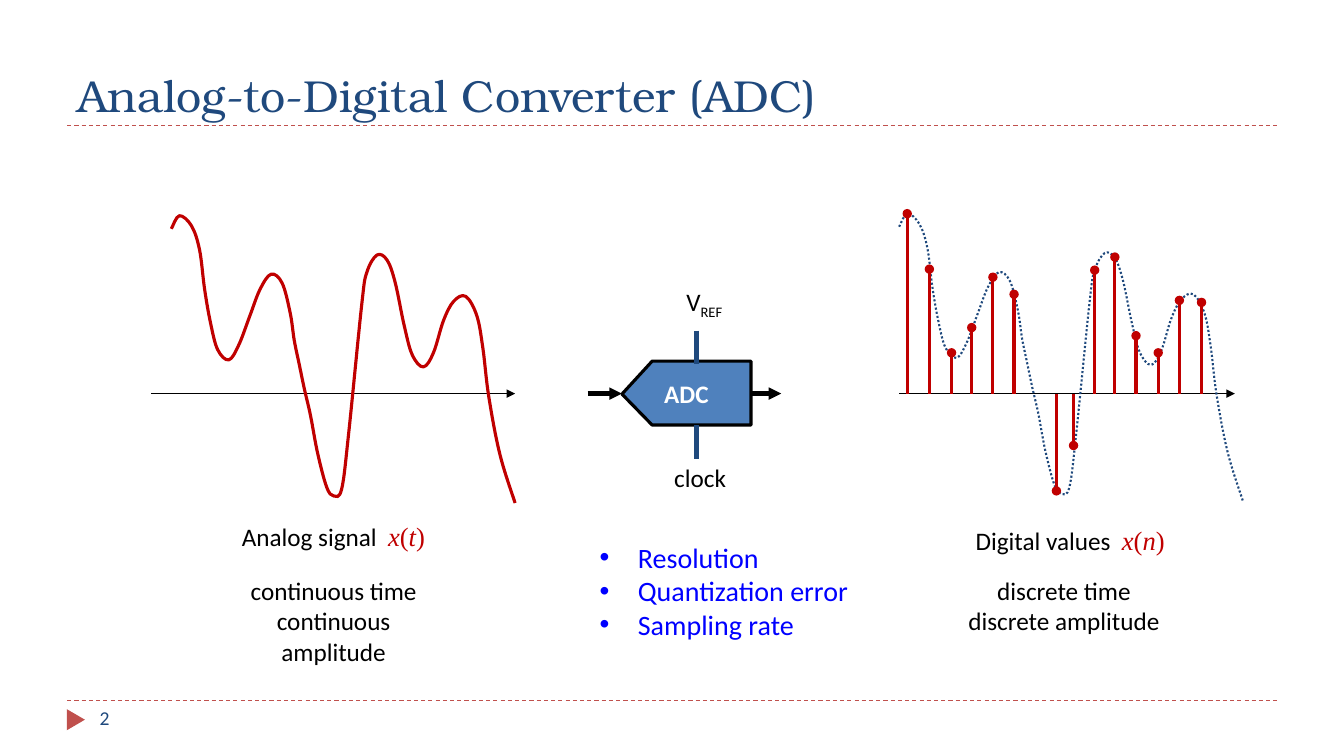
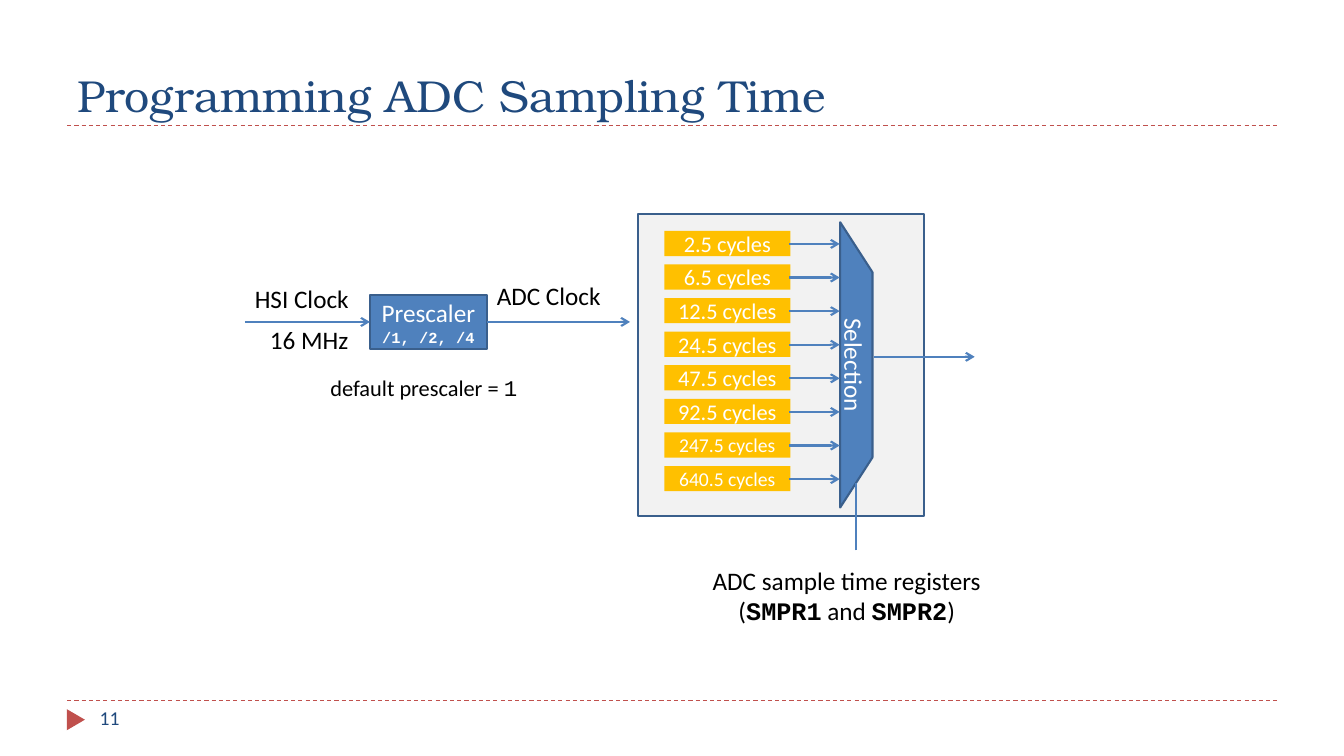
from dataclasses import dataclass

from lxml import etree
from pptx import Presentation
from pptx import util as u
from pptx.dml.color import RGBColor
from pptx.enum import dml, shapes, text
from pptx.oxml import ns

CELL = u.Inches(0.1)  # grid of 75 rows; every length below is in cells
WIDE, HIGH = 133.33, 75
KIND = shapes.MSO_SHAPE
DASH = dml.MSO_LINE
MID = text.PP_ALIGN.CENTER


@dataclass(frozen=True)
class Theme:
    navy: str = "1F497D"
    blue: str = "4F81BD"
    edge: str = "3A5F8C"
    red: str = "C00000"
    brick: str = "C0504D"
    gold: str = "FFC000"
    pale: str = "F2F2F2"
    link: str = "0000FF"
    black: str = "000000"
    white: str = "FFFFFF"
    head: str = "TeX Gyre Bonum"
    body: str = "Calibri"
    math: str = "Times New Roman"
    code: str = "Courier New"
    title: int = 32
    list: int = 20
    sign: int = 19
    base: int = 18
    note: int = 16
    foot: int = 14
    tiny: int = 11


T = Theme()


def emu(cells):
    return u.Emu(round(cells * CELL))


def style(run, size=T.base, color=T.black, font=T.body,
          bold=False, italic=False, shift=0):
    f = run.font
    f.size, f.name, f.bold, f.italic = u.Pt(size), font, bold, italic
    f.color.rgb = RGBColor.from_string(color)
    if shift:
        run._r.get_or_add_rPr().set("baseline", str(shift * 1000))


def bullet(para):
    para.level = 1
    props = para._p.get_or_add_pPr()
    props.set("marL", str(emu(8.8)))
    props.set("indent", str(emu(-3.8)))
    etree.SubElement(props, ns.qn("a:buFont")).set("typeface", "Arial")
    etree.SubElement(props, ns.qn("a:buChar")).set("char", "•")


def write(frame, body, align=text.PP_ALIGN.LEFT, anchor=text.MSO_ANCHOR.TOP,
          dots=False, pad=None, **fmt):
    """Fill a frame: a string, or paragraphs made of strings and (string, format) runs."""
    frame.word_wrap = True
    frame.auto_size = text.MSO_AUTO_SIZE.NONE
    frame.vertical_anchor = anchor
    if pad is not None:
        frame.margin_left = frame.margin_right = emu(pad)
        if not pad:
            frame.margin_top = frame.margin_bottom = 0
    paras = [body] if isinstance(body, str) else body
    for i, runs in enumerate(paras):
        para = frame.add_paragraph() if i else frame.paragraphs[0]
        if dots:
            bullet(para)
        para.alignment = align
        for part in [runs] if isinstance(runs, str) else runs:
            words, own = (part, {}) if isinstance(part, str) else part
            run = para.add_run()
            run.text = words
            style(run, **{**fmt, **own})


def bend(item):
    """Turn the straight segments of an outline into a smooth Bézier curve."""
    dots = list(item._element.iter(ns.qn("a:pt")))
    spots = [(int(d.get("x")), int(d.get("y"))) for d in dots]
    ends = [spots[0], *spots, spots[-1]]
    for dot, *quad in zip(dots[1:], ends, ends[1:], ends[2:], ends[3:]):
        a, b, c, d = quad
        dot.getparent().tag = ns.qn("a:cubicBezTo")
        for base, start, stop in ((b, a, c), (c, d, b)):
            pull = etree.Element(ns.qn("a:pt"))
            for key, p, q, r in zip("xy", base, start, stop):
                pull.set(key, str(round(p + (r - q) / 6)))
            dot.addprevious(pull)


class Deck:
    def __init__(self):
        self.file = Presentation()
        self.file.slide_width, self.file.slide_height = emu(WIDE), emu(HIGH)
        self.plan = self.file.slide_layouts[5]
        self.slide = None

    def frame(self):
        """Draw the rules and the footer mark, and hand them to the layout."""
        for hold in list(self.plan.placeholders)[1:]:
            hold._element.getparent().remove(hold._element)
        for y in (69.5, 12.48):
            self.line(6.67, y, 126.67, y, T.brick, 0.75, dash=DASH.DASH)
        self.box(6.47, 70.5, 2.1, 1.8, T.brick, kind=KIND.ISOSCELES_TRIANGLE, turn=90)
        for item in list(self.slide.shapes)[1:]:
            self.plan.shapes._spTree.append(item._element)

    def page(self, title, number):
        """Start a slide with its title and number."""
        first = self.slide is None
        self.slide = self.file.slides.add_slide(self.plan)
        if first:
            self.frame()
        head = self.slide.shapes.title
        head.left, head.top, head.width, head.height = map(emu, (6.67, 1.7, 120, 10.83))
        write(head.text_frame, title, anchor=text.MSO_ANCHOR.BOTTOM,
              size=T.title, color=T.navy, font=T.head)
        self.label(8.9, 69.5, 28.9, 4, number, size=T.foot, color=T.navy)

    def label(self, x, y, w, h, body, **fmt):
        item = self.slide.shapes.add_textbox(*map(emu, (x, y, w, h)))
        write(item.text_frame, body, **fmt)

    def line(self, x1, y1, x2, y2, color, width, head=None, tail=None, dash=None):
        item = self.slide.shapes.add_connector(
            shapes.MSO_CONNECTOR.STRAIGHT, *map(emu, (x1, y1, x2, y2)))
        self.stroke(item, color, width, dash)
        ln = item.line._get_or_add_ln()
        for tag, end in (("a:headEnd", head), ("a:tailEnd", tail)):
            if end:
                etree.SubElement(ln, ns.qn(tag)).set("type", end)
        etree.SubElement(item._element.spPr, ns.qn("a:effectLst"))

    def box(self, x, y, w, h, fill, edge=None, body=None,
            kind=KIND.RECTANGLE, turn=0, adj=None, **fmt):
        item = self.slide.shapes.add_shape(kind, *map(emu, (x, y, w, h)))
        item.rotation = turn
        if adj is not None:
            item.adjustments[0] = adj
        self.dress(item, fill, edge, 1.5, body, **fmt)

    def free(self, dots, width, edge, fill=None, dash=None, body=None, **fmt):
        """Draw a closed outline when there is a fill, else a smooth curve."""
        spots = [(emu(x), emu(y)) for x, y in dots]
        pen = self.slide.shapes.build_freeform(*spots[0])
        pen.add_line_segments(spots[1:], close=bool(fill))
        item = pen.convert_to_shape()
        if not fill:
            bend(item)
        self.dress(item, fill, edge, width, body, dash, **fmt)

    def dress(self, item, fill, edge, width, body=None, dash=None, **fmt):
        item.shadow.inherit = False
        if fill:
            item.fill.solid()
            item.fill.fore_color.rgb = RGBColor.from_string(fill)
        else:
            item.fill.background()
        if edge:
            self.stroke(item, edge, width, dash)
        else:
            item.line.fill.background()
        if body:
            write(item.text_frame, body, align=MID, anchor=text.MSO_ANCHOR.MIDDLE,
                  **{"color": T.white, **fmt})

    @staticmethod
    def stroke(item, color, width, dash):
        item.line.color.rgb = RGBColor.from_string(color)
        item.line.width = u.Pt(width)
        if dash:
            item.line.dash_style = dash


WAVE = [
    (17, 22.7), (17.8, 21.4), (19, 22.4), (19.8, 24.8), (20.3, 28.7), (20.9, 32.1),
    (21.6, 34.7), (22.7, 35.7), (23.7, 34.2), (24.8, 31.3), (25.8, 28.7), (26.9, 27.2),
    (28, 28.1), (28.8, 31.1), (29.2, 33.8), (29.7, 36.2), (30.2, 38.6), (30.8, 41.2),
    (31.5, 44.9), (32.4, 48.3), (33.1, 49.2), (33.9, 48.5), (34.6, 42.9), (35.9, 30.1),
    (36.4, 27), (37.4, 25.3), (38.4, 25.8), (39.2, 28), (40.1, 32.3), (40.9, 35.2),
    (42, 36.4), (43, 35), (44, 31.8), (45, 29.9), (46.2, 29.4), (47.3, 31.3),
    (47.9, 34.5), (48.5, 39.4), (49.6, 45.1), (51.1, 49.9),
]
STEMS = [
    (90, 21.2), (92.2, 26.7), (94.4, 35), (96.4, 32.5), (98.5, 27.5), (100.6, 29.2),
    (104.8, 48.7), (106.5, 44.2), (108.6, 26.8), (110.6, 25.5), (112.7, 33.3),
    (114.9, 35), (117, 29.8), (119.2, 30),
]


def signal(deck, x, y, w, name, var):
    """Name a signal and add its symbol."""
    deck.label(x, y, w, 4, name)
    slant = {"italic": True}
    deck.label(x + 15.5, y + 0.4, 4.6, 3.2, [[("x", slant), "(", (var, slant), ")"]],
               pad=0, size=T.sign, color=T.red, font=T.math)


def convert(deck):
    deck.page("Analog-to-Digital Converter (ADC)", "2")

    # Time axes, curves and samples
    axis = 39.05
    for left, right in ((15, 51.1), (89.2, 122.5)):
        deck.line(left, axis, right, axis, T.black, 1, tail="triangle")
    deck.free([(x + 72.2, y - 0.2) for x, y in WAVE], 1.5, T.navy, dash=DASH.ROUND_DOT)
    for x, y in STEMS:
        deck.line(x, y, x, axis, T.red, 2.25, head="oval")

    # Captions
    signal(deck, 23, 51.2, 15.9, "Analog signal", "t")
    signal(deck, 95.8, 51.6, 15.4, "Digital values", "n")
    deck.free(WAVE, 2.25, T.red)
    deck.label(53.5, 53.1, 33.4, 11.1, ["Resolution", "Quantization error", "Sampling rate"],
               dots=True, size=T.list, color=T.link)
    deck.label(21.1, 56.6, 24, 7.1, ["continuous time", "continuous amplitude"],
               align=MID, pad=3)
    deck.label(94.8, 56.6, 21.5, 7.1, ["discrete time", "discrete amplitude"], align=MID)

    # Converter block with its pins
    for left, right in ((58.3, 61.7), (70.2, 77.5)):
        deck.line(left, axis, right, axis, T.black, 3, tail="triangle")
    deck.free([(74.5, 35.83), (74.5, 42.17), (64.7, 42.17), (61.7, 39.1), (64.7, 35.83)],
              2.25, T.black, T.blue, body="ADC", bold=True)
    for top in (32.8, 42.2):
        deck.line(69.1, top, 69.1, top + 3.35, T.navy, 3)
    deck.label(65.9, 45.4, 7.4, 4, "clock")
    deck.label(67.1, 27.9, 6.2, 4, [["V", ("REF", {"shift": -25})]])


def timing(deck):
    deck.page("Programming ADC Sampling Time", "11")
    deck.box(63.33, 21.2, 28.33, 30, T.pale, T.edge)

    def arrow(left, right, y):
        deck.line(left, y, right, y, T.blue, 1.5, tail="arrow")

    # Clock path
    code = {"font": T.code, "bold": True}
    deck.box(36.67, 29.27, 11.67, 5.33, T.blue, T.edge,
             ["Prescaler", [("/1, /2, /4", {**code, "size": T.tiny})]])
    arrow(24.3, 36.7, 31.94)
    arrow(48.3, 62.5, 31.94)
    deck.label(24.3, 27.6, 12.4, 4, "HSI Clock")
    deck.label(25.8, 31.7, 10.1, 4, "16 MHz")
    deck.label(48.3, 27.3, 14.1, 4, "ADC Clock")
    deck.label(31.8, 36.6, 21.5, 3.7, [["default prescaler = ", ("1", {"font": T.code})]],
               size=T.note)

    # Sampling times and selector
    times = (2.5, 6.5, 12.5, 24.5, 47.5, 92.5, 247.5, 640.5)
    for i, time in enumerate(times):
        y = 22.9 + i * 10 / 3
        deck.box(65.9, y, 12.5, 2.5, T.gold, body=f"{time} cycles",
                 size=T.note if time < 100 else T.foot)
    deck.box(70.8, 34.6, 28.3, 3.2, T.blue, T.edge, "Selection",
             kind=KIND.TRAPEZOID, turn=90, adj=1.55)
    for i in range(len(times)):
        arrow(78.3, 83.3, 24.2 + i * 10 / 3)
    arrow(86.7, 96.7, 35.4)
    deck.line(84.9, 54.6, 84.9, 47.9, T.blue, 1.5)
    deck.label(69.7, 55.6, 28.6, 7.1,
               ["ADC sample time registers",
                ["(", ("SMPR1", code), " and ", ("SMPR2", code), ")"]], align=MID)


def main():
    deck = Deck()
    convert(deck)
    timing(deck)
    deck.file.save("out.pptx")


if __name__ == "__main__":
    main()
